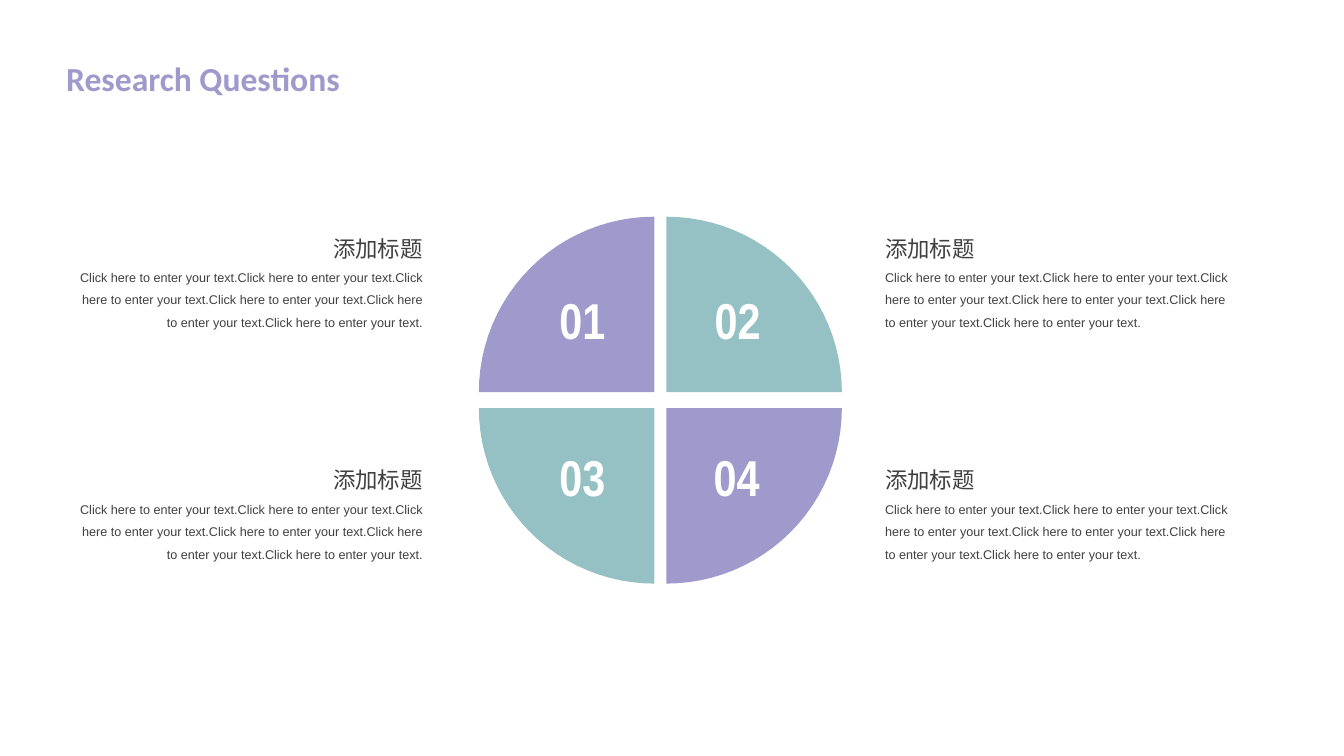
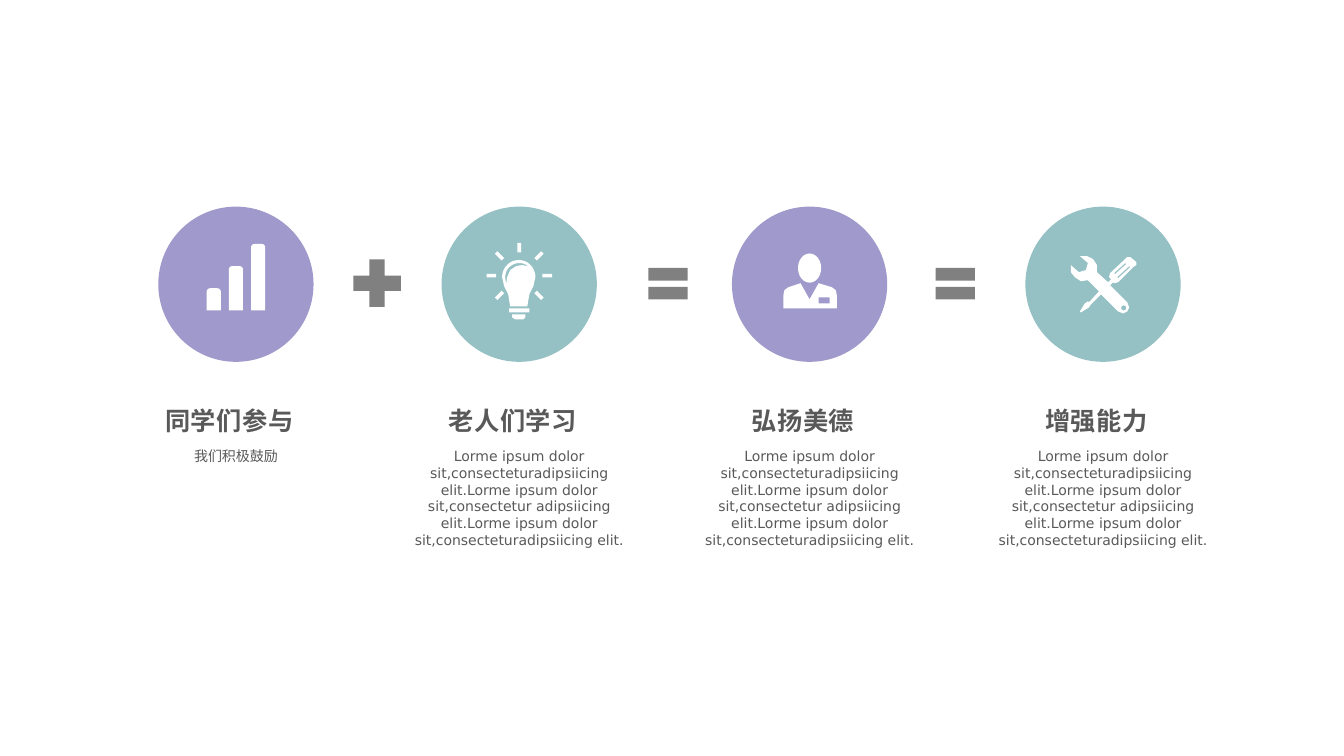
from dataclasses import dataclass
from math import cos, radians, sin

from pptx import Presentation
from pptx.dml.color import RGBColor
from pptx.enum import shapes as sh, text as tx
from pptx.util import Inches, Pt

LILAC = RGBColor(0xA0, 0x99, 0xCB)
TEAL = RGBColor(0x95, 0xC1, 0xC4)
WHITE = RGBColor(0xFF, 0xFF, 0xFF)
INK = RGBColor(0x40, 0x40, 0x40)
SLATE = RGBColor(0x59, 0x59, 0x59)
GREY = RGBColor(0x80, 0x80, 0x80)

LEFT, MID, RIGHT = tx.PP_ALIGN.LEFT, tx.PP_ALIGN.CENTER, tx.PP_ALIGN.RIGHT
CLICK = "Click here to enter your text." * 6
LOREM = ("Lorme ipsum dolor sit,consecteturadipsiicing elit."
         "Lorme ipsum dolor sit,consectetur adipsiicing elit."
         "Lorme ipsum dolor sit,consecteturadipsiicing elit.")

Loop = list[tuple[float, float]]


@dataclass(frozen=True)
class Style:
    font: str
    size: float
    color: RGBColor
    bold: bool = False
    gap: float = 0
    lead: float = 1


TITLE = Style("Calibri", 24, LILAC, bold=True)
NUMBER = Style("Arial Narrow", 36, WHITE, bold=True)
LABEL = Style("Calibri", 16, INK)
DETAIL = Style("Arial", 9, INK, lead=1.5)
HEAD = Style("DejaVu Sans", 18, SLATE, bold=True, gap=0.4)
NOTE = Style("DejaVu Sans", 10, SLATE)


@dataclass(frozen=True)
class Quarter:
    number: str
    color: RGBColor
    col: int
    row: int
    left: float  # of the number


@dataclass(frozen=True)
class Step:
    left: float
    color: RGBColor
    head: str
    note: str
    icon: list[Loop]


@dataclass(frozen=True)
class Sign:
    kind: sh.MSO_SHAPE
    left: float
    top: float
    size: float


def place(shape, left: float, top: float, width: float, height: float) -> None:
    shape.left, shape.top = Inches(left), Inches(top)
    shape.width, shape.height = Inches(width), Inches(height)


def write(shape, words: str, style: Style, align=LEFT, wrap: bool = True) -> None:
    frame = shape.text_frame
    frame.text = words
    frame.word_wrap = wrap
    frame.auto_size = tx.MSO_AUTO_SIZE.SHAPE_TO_FIT_TEXT
    frame.vertical_anchor = tx.MSO_ANCHOR.TOP
    para = frame.paragraphs[0]
    para.alignment, para.line_spacing = align, style.lead
    font = para.font
    font.name, font.size, font.bold = style.font, Pt(style.size), style.bold
    font.color.rgb = style.color
    if style.gap:
        para.runs[0]._r.get_or_add_rPr().set("spc", str(round(style.gap * 100)))


def label(slide, words: str, box: tuple, style: Style, align=LEFT,
          wrap: bool = True) -> None:
    write(slide.shapes.add_textbox(*map(Inches, box)), words, style, align, wrap)


def paint(shape, color: RGBColor) -> None:
    shape.shadow.inherit = False
    shape.fill.solid()
    shape.fill.fore_color.rgb = color
    shape.line.fill.background()


def preset(slide, kind, left: float, top: float, size: float, color: RGBColor) -> None:
    paint(slide.shapes.add_shape(kind, *map(Inches, (left, top, size, size))), color)


def trace(slide, loops: list[Loop], color: RGBColor) -> None:
    """Draw closed loops as one shape; a loop inside another is a hole."""
    pens = [[(Inches(x), Inches(y)) for x, y in loop] for loop in loops]
    build = slide.shapes.build_freeform(*pens[0][0])
    for count, pen in enumerate(pens):
        if count:
            build.move_to(*pen[0])
        build.add_line_segments(pen[1:], close=True)
    paint(build.convert_to_shape(), color)


def arc(x: float, y: float, wide: float, high: float, start: float, end: float,
        steps: int = 24) -> Loop:
    """Points round an ellipse; degrees run clockwise from the right."""
    turns = [radians(start + (end - start) * i / steps) for i in range(steps + 1)]
    return [(x + wide * cos(a), y + high * sin(a)) for a in turns]


def rect(left: float, top: float, right: float, base: float) -> Loop:
    return [(left, top), (right, top), (right, base), (left, base)]


def bar(left: float, top: float) -> Loop:
    right, base, curve = left + 0.14, 3.08, 0.035
    return [(right, base), (left, base),
            *arc(left + curve, top + curve, curve, curve, 180, 270, 6),
            *arc(right - curve, top + curve, curve, curve, 270, 360, 6)]


def ray(angle: float) -> Loop:
    c, s = cos(radians(angle)), sin(radians(angle))
    ends = [(0.23, -0.018), (0.325, -0.018), (0.325, 0.018), (0.23, 0.018)]
    return [(5.15 + r * c - w * s, 2.735 + r * s + w * c) for r, w in ends]


BARS = [bar(2.05 + 0.22 * i, 2.86 - 0.22 * i) for i in range(3)]
BULB = [
    [*arc(5.145, 2.75, 0.165, 0.17, 180, 360), (5.29, 2.84), (5.25, 2.92),
     (5.23, 3.04), (5.06, 3.04), (5.04, 2.92), (5, 2.84)],
    [*arc(5.15, 2.75, 0.14, 0.14, 180, 310, 12), (5.18, 2.63), (5.12, 2.64),
     (5.06, 2.68), (5.03, 2.75), (5.02, 2.82)],
    rect(5.05, 3.06, 5.25, 3.1),
    [(5.08, 3.12), (5.21, 3.12), (5.21, 3.15), (5.19, 3.17), (5.11, 3.17),
     (5.08, 3.15)],
    *[ray(angle) for angle in range(-225, 46, 45)],
]
PERSON = [
    [(7.77, 3.06), (7.77, 2.93), (7.78, 2.88), (7.82, 2.85), (7.94, 2.81),
     (8.03, 2.97), (8.12, 2.81), (8.25, 2.85), (8.29, 2.88), (8.3, 2.93),
     (8.3, 3.06)],
    arc(8.03, 2.66, 0.115, 0.145, 0, 360),
    rect(8.12, 2.95, 8.23, 3.01),
]
TOOLS = [
    [(11.27, 2.6), (11.21, 2.55), (11.18, 2.55), (11.16, 2.57), (11.01, 2.71),
     (11, 2.75), (11.02, 2.77), (10.99, 2.8), (10.88, 2.7), (10.88, 2.63),
     (10.84, 2.57), (10.78, 2.54), (10.71, 2.54), (10.79, 2.61), (10.77, 2.68),
     (10.7, 2.7), (10.62, 2.63), (10.62, 2.7), (10.66, 2.75), (10.72, 2.79),
     (10.79, 2.78), (10.9, 2.89), (10.8, 3), (10.79, 2.99), (10.76, 3.01),
     (10.71, 3.09), (10.72, 3.1), (10.8, 3.05), (10.82, 3.02), (10.92, 2.92),
     (11.09, 3.09), (11.14, 3.11), (11.18, 3.09), (11.2, 3.05), (11.18, 3),
     (11.01, 2.83), (11.04, 2.8), (11.05, 2.81), (11.09, 2.8), (11.24, 2.65),
     (11.27, 2.63)],
    arc(11.145, 3.055, 0.025, 0.025, 0, 360),
    [(11.06, 2.72), (11.05, 2.71), (11.16, 2.61), (11.17, 2.62)],
    [(11.09, 2.76), (11.08, 2.75), (11.2, 2.64), (11.21, 2.65)],
]

QUARTERS = [
    Quarter("01", LILAC, 0, 0, 5.45),
    Quarter("02", TEAL, 1, 0, 6.99),
    Quarter("03", TEAL, 0, 1, 5.45),
    Quarter("04", LILAC, 1, 1, 6.98),
]
STEPS = [
    Step(1.57, LILAC, "同学们参与", "我们积极鼓励", BARS),
    Step(4.38, TEAL, "老人们学习", LOREM, BULB),
    Step(7.26, LILAC, "弘扬美德", LOREM, PERSON),
    Step(10.17, TEAL, "增强能力", LOREM, TOOLS),
]
SIGNS = [
    Sign(sh.MSO_SHAPE.MATH_PLUS, 3.42, 2.49, 0.64),
    Sign(sh.MSO_SHAPE.MATH_EQUAL, 6.36, 2.55, 0.53),
    Sign(sh.MSO_SHAPE.MATH_EQUAL, 9.21, 2.55, 0.53),
]


def add_part(slide, part: Quarter) -> None:
    x, y = (6.49, 6.61)[part.col], (3.89, 4.05)[part.row]
    start = {(0, 0): 180, (1, 0): 270, (1, 1): 0, (0, 1): 90}[part.col, part.row]
    wedge = [(x, y), *arc(x, y, 1.74, 1.74, start, start + 90)]
    trace(slide, [wedge], part.color)
    label(slide, part.number, (part.left, 2.82 + 1.56 * part.row, 0.66, 0.7),
          NUMBER, wrap=False)
    top = 2.28 + 2.3 * part.row
    align = LEFT if part.col else RIGHT
    label(slide, "添加标题", (8.68 if part.col else 3.19, top, 1.1, 0.37),
          LABEL, align, wrap=False)
    label(slide, CLICK, (8.68 if part.col else 0.61, top + 0.27, 3.68, 0.78),
          DETAIL, align)


def add_step(slide, step: Step) -> None:
    preset(slide, sh.MSO_SHAPE.OVAL, step.left, 2.05, 1.54, step.color)
    trace(slide, step.icon, WHITE)
    label(slide, step.head, (step.left - 0.26, 3.97, 1.93, 0.4), HEAD, MID)
    label(slide, step.note, (step.left - 0.38, 4.39, 2.3, 1.1), NOTE, MID)


def main() -> None:
    deck = Presentation()
    deck.slide_width, deck.slide_height = Inches(13.33), Inches(7.5)

    asks = deck.slides.add_slide(deck.slide_layouts.get_by_name("Title Only"))
    title = asks.shapes.title
    place(title, 0.52, 0.52, 2.95, 0.5)
    write(title, "Research Questions", TITLE, RIGHT, wrap=False)
    for part in QUARTERS:
        add_part(asks, part)

    plan = deck.slides.add_slide(deck.slide_layouts.get_by_name("Blank"))
    for step in STEPS:
        add_step(plan, step)
    for sign in SIGNS:
        preset(plan, sign.kind, sign.left, sign.top, sign.size, GREY)

    deck.save("out.pptx")


if __name__ == "__main__":
    main()
